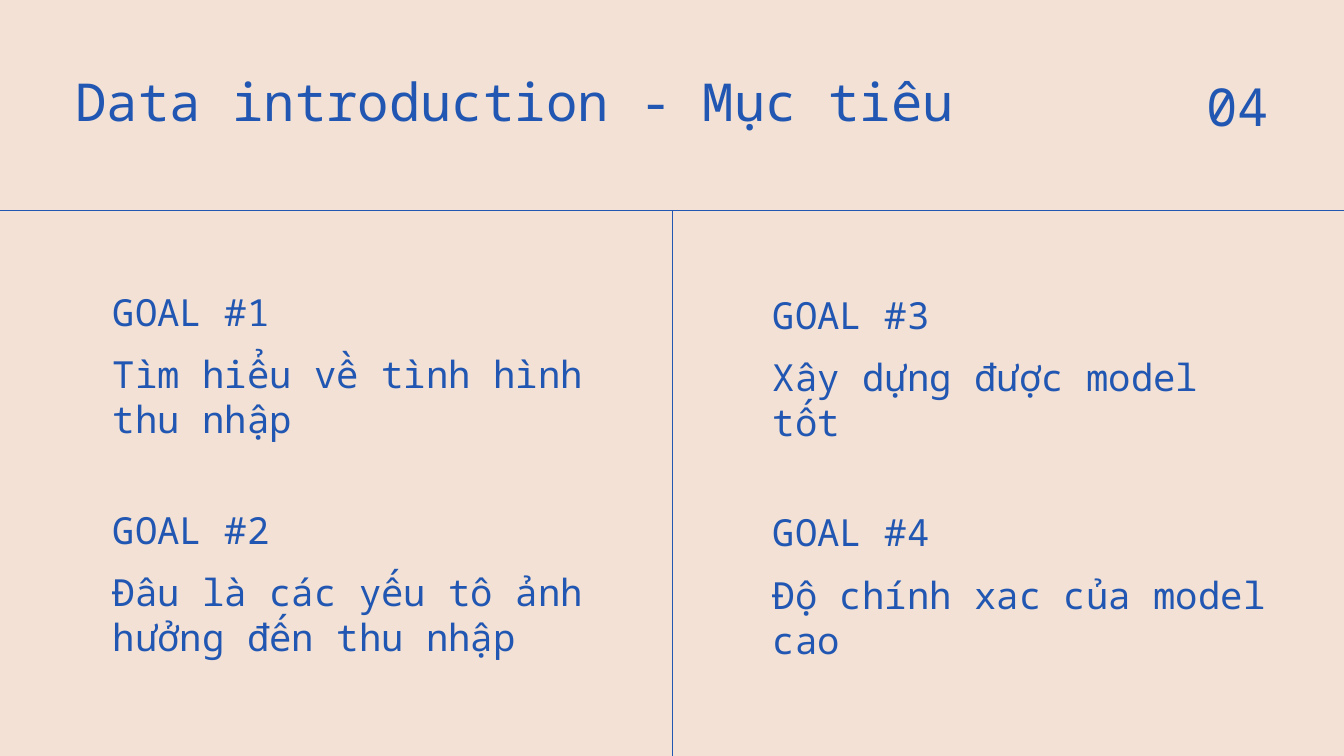
from lxml import etree
from pptx import Presentation
from pptx.dml.color import RGBColor
from pptx.enum.shapes import MSO_CONNECTOR
from pptx.enum.text import MSO_AUTO_SIZE, PP_ALIGN
from pptx.oxml.ns import qn
from pptx.util import Pt

STRAIGHT = MSO_CONNECTOR.STRAIGHT
GROW = MSO_AUTO_SIZE.SHAPE_TO_FIT_TEXT
LEFT, RIGHT = PP_ALIGN.LEFT, PP_ALIGN.RIGHT

PX = 9525  # EMU per px
WIDTH, HEIGHT = 1920, 1080
COLORS = {"paper": "F2E1D4", "ink": "2157B2"}
FONT = "Noto Sans Mono"
LEADING = 1.2

HEADER_Y = 301
DIVIDER_X = 961
BLEED = 43

GOAL_W = 708
GOAL_PITCH = 311
DETAIL_OFFSET = 89
LINE_H, TWO_LINES_H = 68, 132
COLUMNS = [
    (161, 413, [
        ("GOAL #1", "Tìm hiểu về tình hình thu nhập"),
        ("GOAL #2", "Đâu là các yếu tô ảnh hưởng đến thu nhập"),
    ]),
    (1104, 417, [
        ("GOAL #3", "Xây dựng được model tốt"),
        ("GOAL #4", "Độ chính xac của model cao"),
    ]),
]


def px(n):
    return n * PX


def rgb(name):
    return RGBColor.from_string(COLORS[name])


def add_text(shapes, text, x, y, w, h, size, align=LEFT):
    tf = shapes.add_textbox(px(x), px(y), px(w), px(h)).text_frame
    frame = {"word_wrap": True, "auto_size": GROW, "margin_left": 0,
             "margin_top": 0, "margin_right": 0, "margin_bottom": 0}
    for name, value in frame.items():
        setattr(tf, name, value)
    p = tf.paragraphs[0]
    p.alignment = align
    p.line_spacing = Pt(size * LEADING)
    r = p.add_run()
    r.text = text
    for name, value in {"name": FONT, "size": Pt(size)}.items():
        setattr(r.font, name, value)
    r.font.color.rgb = rgb("ink")


def add_rule(s, x1, y1, x2, y2):
    line = s.shapes.add_connector(STRAIGHT, px(x1), px(y1), px(x2), px(y2))
    line.line.color.rgb = rgb("ink")
    line.line.width = Pt(0.75)
    etree.SubElement(line._element.spPr, qn("a:effectLst"))


def add_goal(s, heading, detail, x, y):
    """Group a goal's heading with its description."""
    shapes = s.shapes.add_group_shape().shapes
    add_text(shapes, heading, x, y, GOAL_W, LINE_H, 40)
    add_text(shapes, detail, x, y + DETAIL_OFFSET, GOAL_W, TWO_LINES_H, 40)


def main():
    prs = Presentation()
    prs.slide_width, prs.slide_height = px(WIDTH), px(HEIGHT)
    s = prs.slides.add_slide(prs.slide_layouts[6])
    s.background.fill.solid()
    s.background.fill.fore_color.rgb = rgb("paper")

    add_rule(s, -BLEED, HEADER_Y, WIDTH + BLEED, HEADER_Y)
    add_rule(s, DIVIDER_X, HEIGHT, DIVIDER_X, HEADER_Y)
    add_text(s.shapes, "Data introduction - Mục tiêu", 108, 99, 1256, 98, 56)
    add_text(s.shapes, "04", 1658, 106, 155, 98, 56, RIGHT)

    for x, top, goals in COLUMNS:
        for row, (heading, detail) in enumerate(goals):
            add_goal(s, heading, detail, x, top + row * GOAL_PITCH)

    prs.save("out.pptx")


if __name__ == "__main__":
    main()
